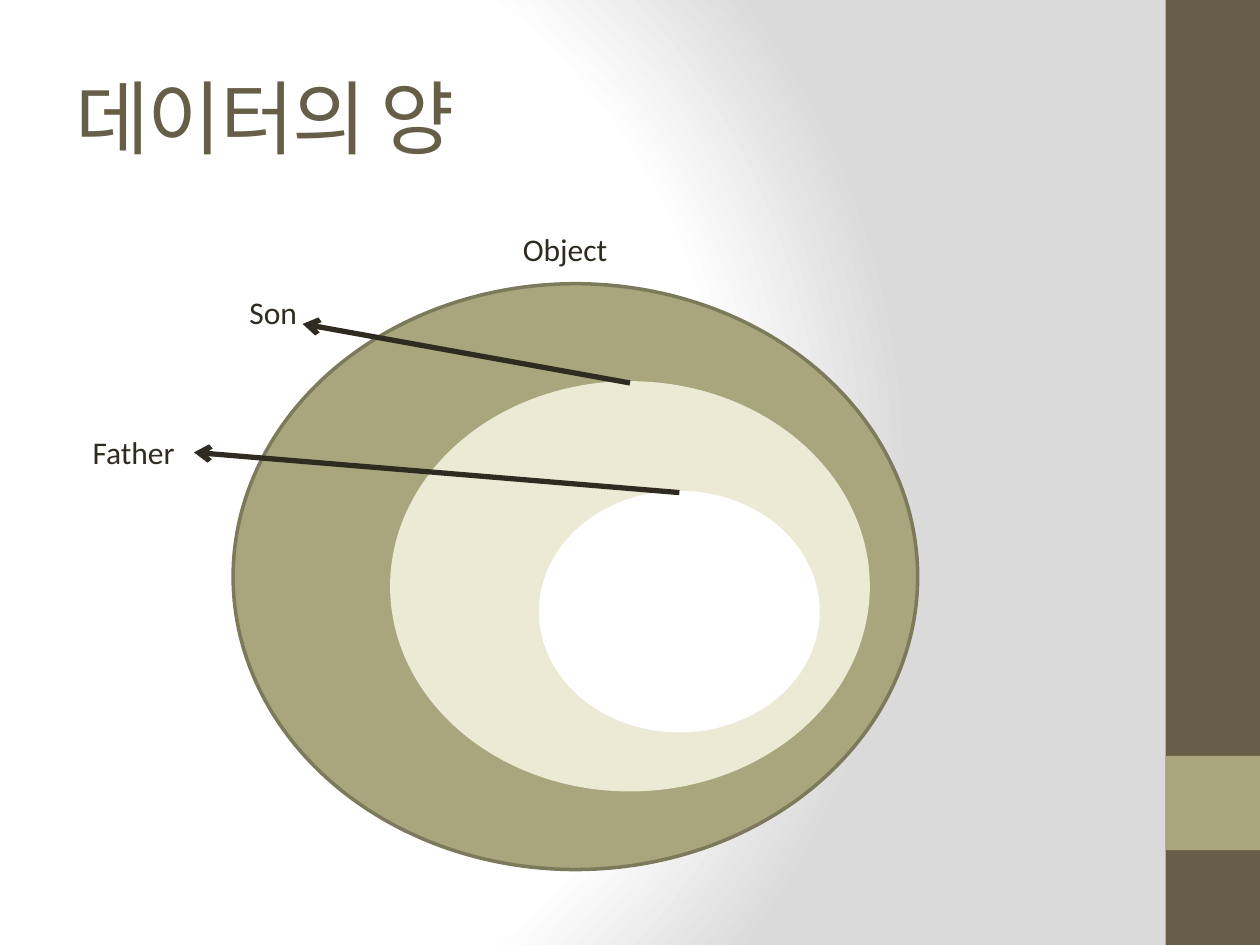
from pptx import Presentation
from pptx import util as u
from pptx.dml.color import RGBColor
from pptx.enum import shapes, text
from pptx.oxml import parse_xml
from pptx.oxml.ns import nsdecls, qn
from lxml import etree

COLORS = {
    "brown": "675E47",
    "olive": "A9A57C",
    "olive_edge": "7D7A5C",
    "cream": "ECEAD4",
    "white": "FFFFFF",
    "gray": "DADADA",
    "ink": "2F2B20",
}


class SlideBuilder:
    """Holds the style and the current slide; positions are in centimetres."""

    title_font, body_font = "Cambria", "Calibri"

    def __init__(self, slide):
        self.slide = slide

    @staticmethod
    def color(name):
        return RGBColor.from_string(COLORS[name])

    def background(self, stops):
        fill = self.slide.background.fill
        fill.gradient()
        old = self.slide.element.xpath(".//p:bg//a:gradFill")[0]
        stop_xml = "".join(
            f'<a:gs pos="{percent * 1000}"><a:srgbClr val="{COLORS[name]}"/></a:gs>'
            for percent, name in stops)
        gradient = parse_xml(
            f'<a:gradFill {nsdecls("a")} rotWithShape="1"><a:gsLst>{stop_xml}</a:gsLst>'
            '<a:path path="circle">'
            '<a:fillToRect l="20000" t="50000" r="100000" b="50000"/>'
            '</a:path></a:gradFill>')
        old.getparent().replace(old, gradient)

    def format_run(self, run, font, size, color):
        run.font.name = font
        run.font.size = u.Pt(size)
        run.font.color.rgb = self.color(color)

    def title(self, wording, *box):
        shape = self.slide.shapes.title
        shape.left, shape.top, shape.width, shape.height = map(u.Cm, box)
        frame = shape.text_frame
        frame.text = wording
        frame.auto_size = text.MSO_AUTO_SIZE.NONE
        frame.vertical_anchor = text.MSO_ANCHOR.MIDDLE
        paragraph = frame.paragraphs[0]
        paragraph.alignment = text.PP_ALIGN.LEFT
        run = paragraph.runs[0]
        self.format_run(run, self.title_font, 46, "brown")
        run.font._element.set("spc", "-100")

    def shape(self, kind, box, fill, line=None):
        shape = self.slide.shapes.add_shape(kind, *map(u.Cm, box))
        shape.shadow.inherit = False
        shape.fill.solid()
        shape.fill.fore_color.rgb = self.color(fill)
        if line:
            shape.line.color.rgb = self.color(line)
            shape.line.width = u.Pt(2)
        else:
            shape.line.fill.background()
        return shape

    def bar(self, box, fill):
        return self.shape(shapes.MSO_SHAPE.RECTANGLE, box, fill)

    def ellipse(self, box, fill, line):
        return self.shape(shapes.MSO_SHAPE.OVAL, box, fill, line)

    def label(self, wording, *box):
        frame = self.slide.shapes.add_textbox(*map(u.Cm, box)).text_frame
        frame.word_wrap = True
        frame.auto_size = text.MSO_AUTO_SIZE.SHAPE_TO_FIT_TEXT
        frame.text = wording
        paragraph = frame.paragraphs[0]
        paragraph.alignment = text.PP_ALIGN.CENTER
        self.format_run(paragraph.runs[0], self.body_font, 18, "ink")

    def arrow_from_top(self, source, x, y):
        connector = self.slide.shapes.add_connector(
            shapes.MSO_CONNECTOR.STRAIGHT, source.left + source.width // 2,
            source.top, u.Cm(x), u.Cm(y))
        connector.begin_connect(source, 0)
        connector.line.color.rgb = self.color("ink")
        connector.line.width = u.Pt(3)
        etree.SubElement(connector.line._get_or_add_ln(), qn("a:tailEnd"), type="arrow")
        etree.SubElement(connector._element.spPr, qn("a:effectLst"))


def main():
    presentation = Presentation()
    presentation.slide_width, presentation.slide_height = u.Cm(25.4), u.Cm(19.05)
    builder = SlideBuilder(presentation.slides.add_slide(presentation.slide_layouts[5]))

    # Background, side bars and title
    builder.background([(0, "white"), (75, "white"), (100, "gray")])
    builder.bar((23.5, 0, 1.9, 19.05), "brown")
    builder.bar((23.5, 15.24, 1.9, 1.9), "olive")
    builder.title("데이터의 양", 1.27, 0.76, 21.16, 3.18)

    # Nested sets, from the outermost inwards
    builder.ellipse((4.7, 5.72, 13.8, 11.81), "olive", "olive_edge")
    builder.label("Object", 8.89, 4.52, 5, 1.02)

    son = builder.ellipse((7.9, 7.72, 9.6, 8.2), "cream", "cream")
    builder.arrow_from_top(son, 6.1, 6.53)
    builder.label("Son", 3.91, 5.79, 3.2, 1.02)

    father = builder.ellipse((10.9, 9.93, 5.59, 4.8), "white", "white")
    builder.arrow_from_top(father, 3.91, 9.12)
    builder.label("Father", 1.3, 8.61, 2.79, 1.02)

    presentation.save("out.pptx")


if __name__ == "__main__":
    main()
